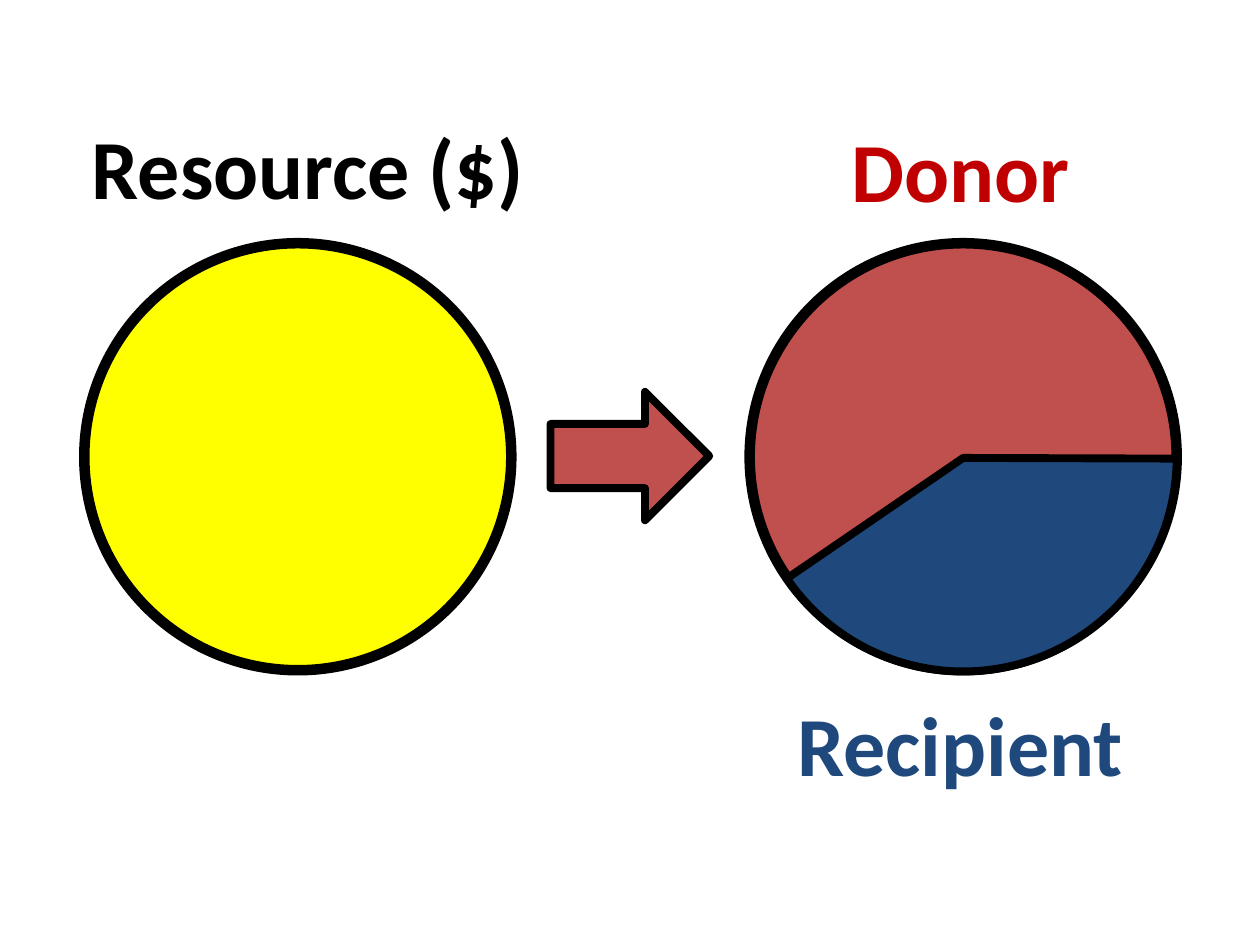
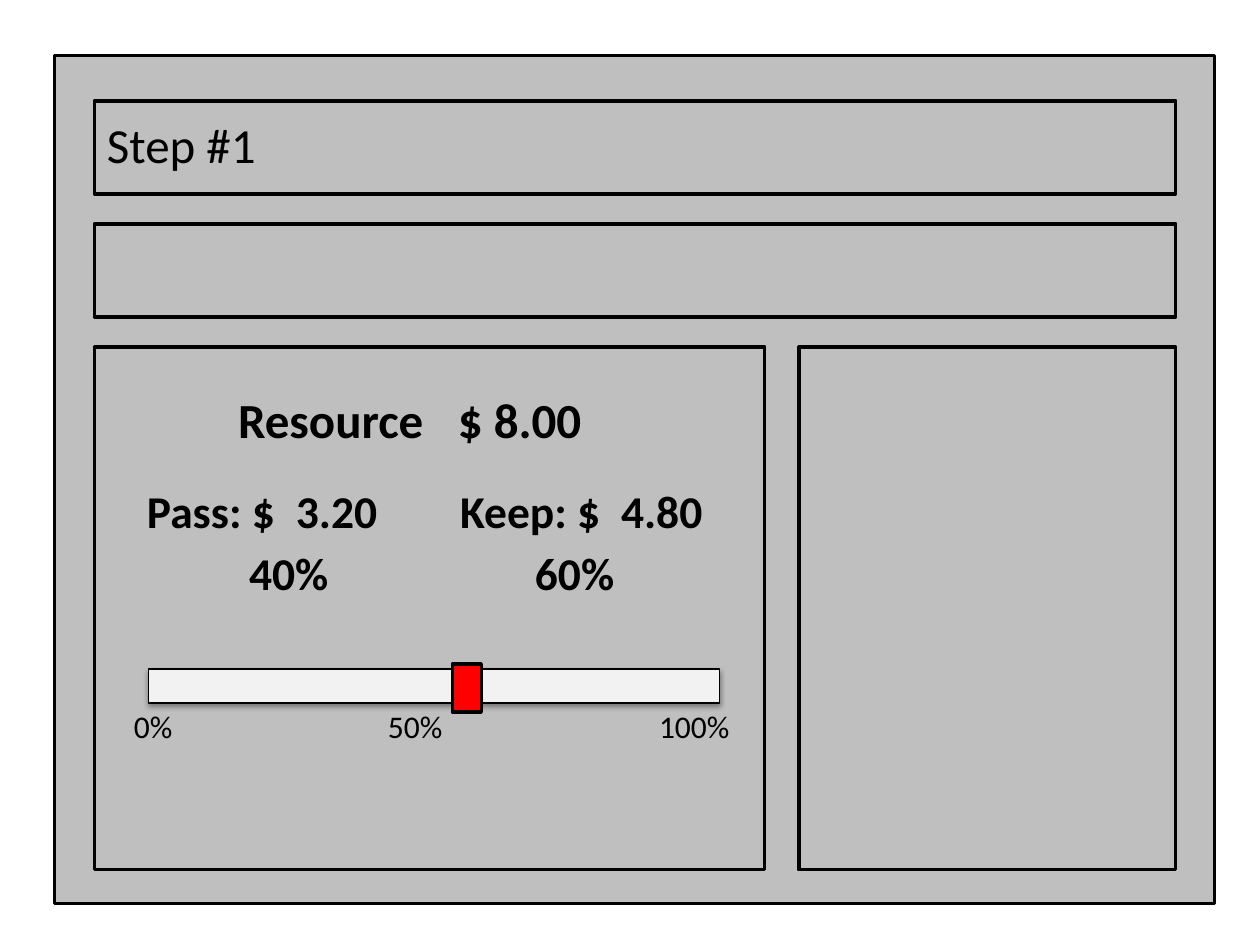
from dataclasses import dataclass
from lxml import etree
from pptx import Presentation
from pptx.dml.color import RGBColor
from pptx.enum.shapes import MSO_SHAPE as Shape
from pptx.enum.text import MSO_ANCHOR as Anchor, MSO_AUTO_SIZE as AutoSize, PP_ALIGN as Align
from pptx.oxml.ns import qn
from pptx.util import Pt


@dataclass(frozen=True)
class Theme:
    """Colours, font and type sizes shared by the slides."""
    font: str = "Calibri"
    black: str = "000000"
    yellow: str = "FFFF00"
    red: str = "C0504D"
    dark_red: str = "C00000"
    blue: str = "1F497D"
    grey: str = "BFBFBF"
    light: str = "F2F2F2"
    handle: str = "FF0000"
    label: float = 48
    heading: float = 28
    amount: float = 26
    tick: float = 18
    circle_line: float = 6
    heavy_line: float = 4.5
    panel_line: float = 2
    thin_line: float = 0.75


THEME = Theme()

# Slide 1: the resource is split between donor and recipient
DIAMETER, CIRCLE_TOP = 244, 139
RESOURCE_LEFT, SHARED_LEFT = 48.2, 428.4
ARROW_BOX = (314.6, 223.9, 90.7, 73.4)
RECIPIENT_ANGLES = (0.113, 87.376)
LABELS = [
    ("Resource ($)", (45.4, 62.6, 264.2, 65.5), THEME.black),
    ("Donor", (479.5, 64.1, 140.4, 65.5), THEME.dark_red),
    ("Recipient", (448.6, 392.4, 202.3, 65.5), THEME.blue),
]

# Slide 2: a screen with two bands above two panels
FRAME = (31, 31.7, 663.1, 484.6)
CONTENT_LEFT, CONTENT_TOP, CONTENT_WIDTH = 54, 57.6, 617.8
BAND_HEIGHT, GAP, BAND_COUNT = 53.3, 17, 2
PANEL_HEIGHT, PANEL_WIDTHS = 298.8, (383, 215.3)
SLIDER_BAR = (85, 382.3, 326.2, 19.4)
SLIDER_HANDLE = (258.5, 379.4, 16.6, 27.4)
TITLE, TITLE_BOX, TITLE_START = "Step #1", (48.2, 61.9, 266.4, 45.4), 61.1
# Each text: paragraphs, box, horizontal start, tab stops per paragraph,
# size, bold, anchor, space before. Starts and stops count from the slide edge.
TEXTS = [
    (["Resource\t$ 8.00"], (115.9, 218.9, 260.6, 113), 136, [[261.7]],
     THEME.heading, True, Anchor.TOP, 1.5),
    (["Pass: $\t3.20\tKeep: $\t4.80", "\t40%\t60%"], (76.3, 252.7, 345.6, 113),
     84, [[169.1, 262.9, 354.9], [142.3, 305.7]],
     THEME.amount, True, Anchor.MIDDLE, 4.3),
    (["0%\t50%\t100%"], (59.8, 400.3, 374.4, 45.4), 76.5, [[221.7, 376.6]],
     THEME.tick, False, Anchor.TOP, 0.5),
]


def in_points(box):
    """Turn numbers in points into lengths."""
    return [Pt(value) for value in box]


def add_figure(slide, preset, box, fill, line_width):
    """Add a preset shape with a black outline; no fill if fill is None."""
    shape = slide.shapes.add_shape(preset, *in_points(box))
    shape.shadow.inherit = False
    if fill:
        shape.fill.solid()
        shape.fill.fore_color.rgb = RGBColor.from_string(fill)
    else:
        shape.fill.background()
    shape.line.width = Pt(line_width)
    shape.line.color.rgb = RGBColor.from_string(THEME.black)
    etree.SubElement(shape.element.spPr.find(qn("a:ln")), qn("a:round"))
    return shape


def add_shadow(shape):
    """Give a shape a soft shadow straight below it."""
    effects = shape.element.spPr.find(qn("a:effectLst"))
    shadow = etree.SubElement(effects, qn("a:outerShdw"), blurRad=str(Pt(3.1)),
                              dist=str(Pt(1.6)), dir="5400000", rotWithShape="0")
    color = etree.SubElement(shadow, qn("a:srgbClr"), val=THEME.black)
    etree.SubElement(color, qn("a:alpha"), val="38000")


def write(paragraph, text, size, color=THEME.black, bold=False):
    """Write one formatted run, aligned left."""
    paragraph.alignment = Align.LEFT
    run = paragraph.add_run()
    run.text = text
    run.font.name, run.font.size, run.font.bold = THEME.font, Pt(size), bold
    run.font.color.rgb = RGBColor.from_string(color)


def set_tabs(paragraph, positions):
    """Set left tab stops, measured from the text edge."""
    tabs = etree.SubElement(paragraph._p.get_or_add_pPr(), qn("a:tabLst"))
    for position in positions:
        etree.SubElement(tabs, qn("a:tab"), pos=str(Pt(position)), algn="l")


def add_label(slide, text, box, color):
    """Add a large bold label that does not wrap."""
    frame = slide.shapes.add_textbox(*in_points(box)).text_frame
    frame.word_wrap = False
    frame.auto_size = AutoSize.SHAPE_TO_FIT_TEXT
    write(frame.paragraphs[0], text, THEME.label, color, True)


def add_tabbed_text(slide, lines, box, start, stops, size, bold, anchor, before):
    """Add lines whose parts stand at tab stops."""
    frame = slide.shapes.add_textbox(*in_points(box)).text_frame
    frame.word_wrap = True
    frame.vertical_anchor = anchor
    frame.margin_left = Pt(start - box[0])
    frame.margin_right = 0
    for index, (line, positions) in enumerate(zip(lines, stops)):
        paragraph = frame.add_paragraph() if index else frame.paragraphs[0]
        paragraph.space_before = Pt(before)
        write(paragraph, line, size, bold=bold)
        set_tabs(paragraph, [position - start for position in positions])


def place_title(slide):
    """Move the title placeholder to the first band, in front of the frame."""
    title = slide.shapes.title
    title.left, title.top, title.width, title.height = in_points(TITLE_BOX)
    frame = title.text_frame
    frame.word_wrap = True
    frame.auto_size = AutoSize.NONE
    frame.vertical_anchor = Anchor.TOP
    frame.margin_left = Pt(TITLE_START - TITLE_BOX[0])
    frame.paragraphs[0].space_before = Pt(1.5)
    write(frame.paragraphs[0], TITLE, THEME.heading)
    title.element.getparent().append(title.element)


def build_sharing_slide(presentation):
    """Show the resource and its split."""
    slide = presentation.slides.add_slide(presentation.slide_layouts[6])
    for left, fill in ((RESOURCE_LEFT, THEME.yellow), (SHARED_LEFT, THEME.red)):
        add_figure(slide, Shape.OVAL, (left, CIRCLE_TOP, DIAMETER, DIAMETER),
                   fill, THEME.circle_line)
    add_figure(slide, Shape.RIGHT_ARROW, ARROW_BOX, THEME.red, THEME.heavy_line)
    share = add_figure(slide, Shape.PIE,
                       (SHARED_LEFT, CIRCLE_TOP + 0.7, DIAMETER, DIAMETER),
                       THEME.blue, THEME.heavy_line)
    for index, angle in enumerate(RECIPIENT_ANGLES):
        share.adjustments[index] = angle
    for label in LABELS:
        add_label(slide, *label)


def build_screen_slide(presentation):
    """Show the screen on which the resource is divided."""
    slide = presentation.slides.add_slide(presentation.slide_layouts[5])
    add_figure(slide, Shape.RECTANGLE, FRAME, THEME.grey, THEME.panel_line)
    step = BAND_HEIGHT + GAP
    boxes = [(CONTENT_LEFT, CONTENT_TOP + row * step, CONTENT_WIDTH, BAND_HEIGHT)
             for row in range(BAND_COUNT)]
    panel_top = CONTENT_TOP + BAND_COUNT * step
    lefts = (CONTENT_LEFT, CONTENT_LEFT + CONTENT_WIDTH - PANEL_WIDTHS[1])
    boxes += [(left, panel_top, width, PANEL_HEIGHT)
              for left, width in zip(lefts, PANEL_WIDTHS)]
    for box in boxes:
        add_figure(slide, Shape.RECTANGLE, box, None, THEME.panel_line)
    add_shadow(add_figure(slide, Shape.RECTANGLE, SLIDER_BAR,
                          THEME.light, THEME.thin_line))
    add_figure(slide, Shape.RECTANGLE, SLIDER_HANDLE, THEME.handle, THEME.panel_line)
    place_title(slide)
    for text in TEXTS:
        add_tabbed_text(slide, *text)


presentation = Presentation()
presentation.slide_width, presentation.slide_height = Pt(720), Pt(540)
build_sharing_slide(presentation)
build_screen_slide(presentation)
presentation.save("out.pptx")
